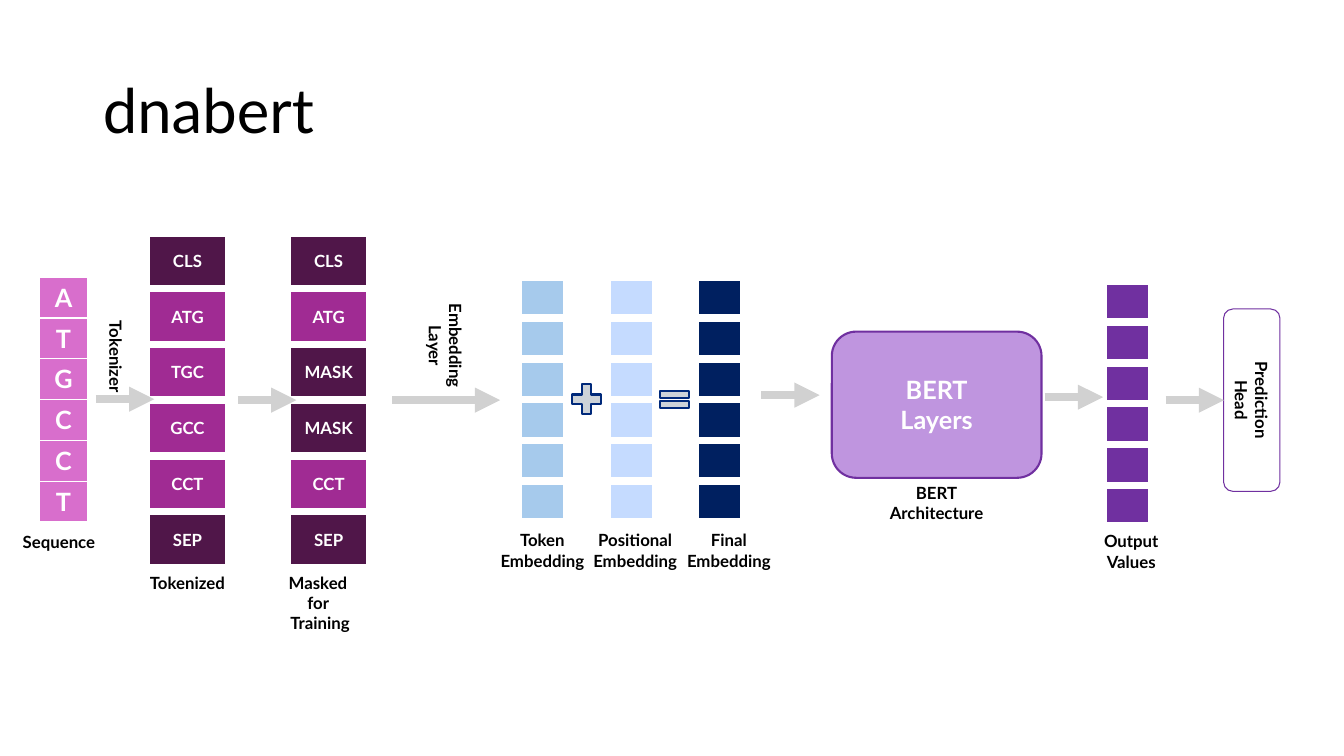
from dataclasses import dataclass

import lxml.etree
import pptx
import pptx.dml.color
import pptx.enum.shapes
import pptx.enum.text
import pptx.oxml
import pptx.oxml.ns
import pptx.util

RGBColor = pptx.dml.color.RGBColor
ShapeKind = pptx.enum.shapes.MSO_SHAPE
WHITE = RGBColor(0xFF, 0xFF, 0xFF)
BLACK = RGBColor(0x00, 0x00, 0x00)
PINK = RGBColor(0xD8, 0x6E, 0xCC)
MAGENTA = RGBColor(0xA0, 0x2B, 0x93)
PLUM = RGBColor(0x50, 0x16, 0x49)
SKY = RGBColor(0xA6, 0xCA, 0xEC)
PALE_BLUE = RGBColor(0xC5, 0xDB, 0xFF)
NAVY = RGBColor(0x00, 0x20, 0x60)
OPERATOR_FILL = RGBColor(0xCC, 0xD2, 0xD8)
OPERATOR_LINE = RGBColor(0x00, 0x29, 0x7A)
LAVENDER = RGBColor(0xBF, 0x95, 0xDF)
PURPLE = RGBColor(0x70, 0x30, 0xA0)
GREY = RGBColor(0xD1, 0xD1, 0xD1)

FONT = "Lato"
SLIDE_WIDTH = pptx.util.Inches(13.33)
SLIDE_HEIGHT = pptx.util.Inches(7.5)
COLUMN = SLIDE_WIDTH / 13.33
ROW = SLIDE_HEIGHT / 7.5
SPECIAL_TOKENS = {"CLS", "MASK", "SEP"}
BLANKS = [""] * 6


@dataclass(frozen=True)
class Box:
    left: float
    top: float
    width: float
    height: float

    def emu(self) -> tuple[int, int, int, int]:
        return (round(self.left * COLUMN), round(self.top * ROW),
                round(self.width * COLUMN), round(self.height * ROW))


@dataclass(frozen=True)
class Stack:
    box: Box
    values: list[str]
    fill: RGBColor
    border: float = 6
    size: float = 12


@dataclass(frozen=True)
class Arrow:
    start: float
    end: float
    level: float


@dataclass(frozen=True)
class Label:
    box: Box
    text: str
    rotation: float = 0


@dataclass(frozen=True)
class Block:
    kind: ShapeKind
    box: Box
    fill: RGBColor | None
    line: RGBColor
    line_width: float
    text: str = ""
    size: float = 12
    color: RGBColor = BLACK
    rotation: float = 0


def embedding_stack(left: float, fill: RGBColor, top: float = 2.75) -> Stack:
    return Stack(Box(left, top, 0.48, 2.43), BLANKS, fill)


def token_stack(left: float, values: list[str]) -> Stack:
    return Stack(Box(left, 2.31, 0.82, 3.32), values, MAGENTA)


STACKS = [
    Stack(Box(0.39, 2.75, 0.48, 2.43), list("ATGCCT"), PINK, 1, 18),
    token_stack(1.45, ["CLS", "ATG", "TGC", "GCC", "CCT", "SEP"]),
    token_stack(2.85, ["CLS", "ATG", "MASK", "MASK", "CCT", "SEP"]),
    embedding_stack(5.14, SKY),
    embedding_stack(6.02, PALE_BLUE),
    embedding_stack(6.9, NAVY),
    embedding_stack(10.94, PURPLE, 2.79),
]
BLOCKS = [
    Block(ShapeKind.MATH_PLUS, Box(5.62, 3.76, 0.39, 0.4), OPERATOR_FILL, OPERATOR_LINE, 1.5),
    Block(ShapeKind.MATH_EQUAL, Box(6.49, 3.82, 0.4, 0.29), OPERATOR_FILL, OPERATOR_LINE, 1.5),
    Block(ShapeKind.ROUNDED_RECTANGLE, Box(8.25, 3.29, 2.08, 1.45), LAVENDER, PURPLE, 1.5,
          "BERT\nLayers", 18, WHITE),
    Block(ShapeKind.ROUNDED_RECTANGLE, Box(11.51, 3.69, 1.81, 0.56), None, PURPLE, 0.75,
          "Prediction\nHead", rotation=90),
]
ARROWS = [
    Arrow(0.95, 1.53, 3.96),
    Arrow(2.36, 2.94, 3.97),
    Arrow(3.89, 4.96, 3.97),
    Arrow(7.55, 8.13, 3.92),
    Arrow(10.36, 10.94, 3.94),
    Arrow(11.56, 12.14, 3.97),
]
LABELS = [
    Label(Box(0.1, 5.23, 0.97, 0.3), "Sequence"),
    Label(Box(1.38, 5.63, 0.96, 0.3), "Tokenized"),
    Label(Box(2.76, 5.63, 0.83, 0.71), "Masked \nfor \nTraining"),
    Label(Box(4.85, 5.21, 1.06, 0.5), "Token\nEmbedding"),
    Label(Box(5.77, 5.21, 1.06, 0.5), "Positional\nEmbedding"),
    Label(Box(6.7, 5.21, 1.06, 0.5), "Final\nEmbedding"),
    Label(Box(8.71, 4.74, 1.16, 0.5), "BERT\nArchitecture"),
    Label(Box(10.85, 5.22, 0.74, 0.5), "Output\nValues"),
    Label(Box(0.69, 3.39, 0.92, 0.3), "Tokenizer", 90),
    Label(Box(3.89, 3.18, 1.06, 0.5), "Embedding\nLayer", 90),
]


def write(frame, text: str, size: float, color: RGBColor) -> None:
    frame.text = text
    for paragraph in frame.paragraphs:
        paragraph.alignment = pptx.enum.text.PP_ALIGN.CENTER
        paragraph.font.name = FONT
        paragraph.font.size = pptx.util.Pt(size)
        paragraph.font.bold = True
        paragraph.font.color.rgb = color


def add_borders(cell, width: float) -> None:
    properties = cell._tc.get_or_add_tcPr()
    for side in ("a:lnL", "a:lnR", "a:lnT", "a:lnB"):
        line = lxml.etree.SubElement(properties, pptx.oxml.ns.qn(side), w=str(pptx.util.Pt(width)))
        fill = lxml.etree.SubElement(line, pptx.oxml.ns.qn("a:solidFill"))
        lxml.etree.SubElement(fill, pptx.oxml.ns.qn("a:srgbClr"), val=str(WHITE))


def add_stack(slide, stack: Stack) -> None:
    table = slide.shapes.add_table(len(stack.values), 1, *stack.box.emu()).table
    table.first_row = table.horz_banding = False
    for cell, value in zip(table.iter_cells(), stack.values):
        write(cell.text_frame, value, stack.size, WHITE)
        cell.vertical_anchor = pptx.enum.text.MSO_ANCHOR.MIDDLE
        cell.margin_left = cell.margin_right = cell.margin_top = cell.margin_bottom = 0
        add_borders(cell, stack.border)
        cell.fill.solid()
        cell.fill.fore_color.rgb = PLUM if value in SPECIAL_TOKENS else stack.fill


def add_block(slide, block: Block) -> None:
    shape = slide.shapes.add_shape(block.kind, *block.box.emu())
    shape.shadow.inherit = False
    shape.rotation = block.rotation
    if block.fill is None:
        shape.fill.background()
    else:
        shape.fill.solid()
        shape.fill.fore_color.rgb = block.fill
    shape.line.color.rgb = block.line
    shape.line.width = pptx.util.Pt(block.line_width)
    if block.text:
        write(shape.text_frame, block.text, block.size, block.color)


def add_arrow(slide, arrow: Arrow) -> None:
    level = round(arrow.level * ROW)
    connector = slide.shapes.add_connector(
        pptx.enum.shapes.MSO_CONNECTOR.STRAIGHT,
        round(arrow.start * COLUMN), level, round(arrow.end * COLUMN), level)
    connector.line.color.rgb = GREY
    connector.line.width = pptx.util.Pt(6)
    lxml.etree.SubElement(connector.line._get_or_add_ln(), pptx.oxml.ns.qn("a:tailEnd"), type="triangle")
    lxml.etree.SubElement(connector._element.spPr, pptx.oxml.ns.qn("a:effectLst"))


def add_label(slide, label: Label) -> None:
    shape = slide.shapes.add_textbox(*label.box.emu())
    shape.rotation = label.rotation
    shape.text_frame.word_wrap = False
    shape.text_frame.auto_size = pptx.enum.text.MSO_AUTO_SIZE.SHAPE_TO_FIT_TEXT
    write(shape.text_frame, label.text, 12, BLACK)


def add_title(slide, text: str) -> None:
    title = slide.shapes.title
    title.left, title.top, title.width, title.height = Box(0.92, 0.4, 11.5, 1.45).emu()
    title.text_frame.vertical_anchor = pptx.enum.text.MSO_ANCHOR.MIDDLE
    write(title.text_frame, text, 44, BLACK)
    paragraph = title.text_frame.paragraphs[0]
    paragraph.alignment = pptx.enum.text.PP_ALIGN.LEFT
    paragraph.line_spacing = 0.9
    paragraph.font.bold = False


def main() -> None:
    presentation = pptx.Presentation()
    presentation.slide_width, presentation.slide_height = SLIDE_WIDTH, SLIDE_HEIGHT
    slide = presentation.slides.add_slide(presentation.slide_layouts[5])
    add_title(slide, "dnabert")
    for draw, items in ((add_stack, STACKS), (add_block, BLOCKS), (add_arrow, ARROWS), (add_label, LABELS)):
        for item in items:
            draw(slide, item)
    presentation.save("out.pptx")


if __name__ == "__main__":
    main()
